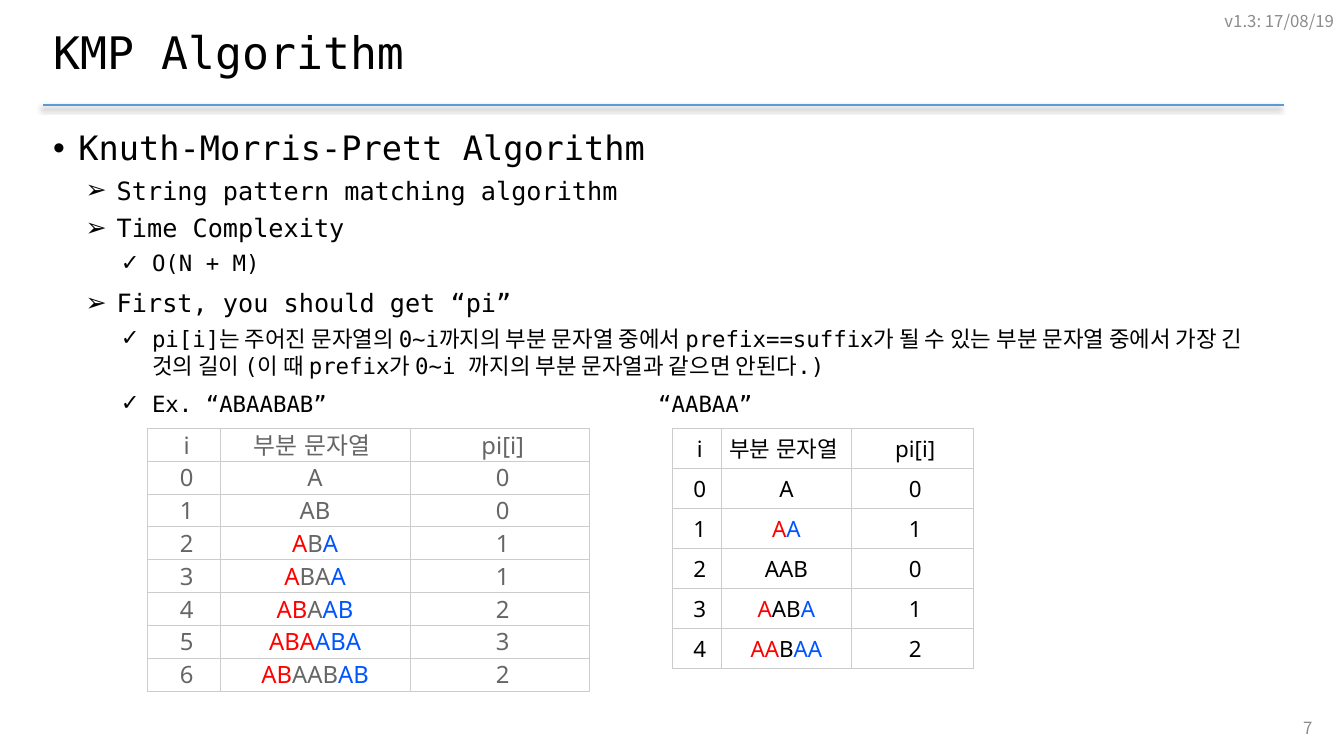
import pptx
import pptx.dml.color
import pptx.enum.shapes
import pptx.enum.text
import pptx.oxml.ns
import pptx.util
from lxml import etree

COLORS = {"ink": "000000", "rule": "5B9BD5", "muted": "8C8C8C", "gray": "666666",
          "border": "CCCCCC", "cell": "FFFFFF", "prefix": "FF0000", "suffix": "0055FF"}
MONO, SANS, KOREAN = "DejaVu Sans Mono", "Noto Sans", "Noto Sans CJK KR"
NBSP = " "
ALIGN = pptx.enum.text.PP_ALIGN
MIDDLE = pptx.enum.text.MSO_ANCHOR.MIDDLE

# bullet, left indent, hanging indent, text size, line spacing, space before, space after
LEVELS = [("•", 0.25, 0.25, 24, 0.9, 10, 0),
          ("➢", 0.63, 0.31, 18, 1.0, 5, 0),
          ("✓", 0.98, 0.31, 16, 1.0, 5, 3)]
OUTLINE = [
    (0, "Knuth-Morris-Prett Algorithm"),
    (1, "String pattern matching algorithm"),
    (1, "Time Complexity"),
    (2, "O(N + M)"),
    (1, "First, you should get “pi”"),
    (2, "pi[i]는 주어진 문자열의 0~i까지의 부분 문자열 중에서 prefix==suffix가 될 수 있는 "
        "부분 문자열 중에서 가장 긴 것의 길이 (이 때 prefix가 0~i 까지의 부분 문자열과 같으면 안된다.)"),
    (2, "Ex. “ABAABAB”\t\t\t\t“AABAA”"),
]


def rgb(name):
    return pptx.dml.color.RGBColor.from_string(COLORS[name])


def add_xml(parent, tag, **attributes):
    return etree.SubElement(parent, pptx.oxml.ns.qn(tag), attributes)


def border_length(text):
    """Length of the longest proper prefix of text that is also its suffix."""
    return max(k for k in range(len(text)) if text.endswith(text[:k]))


def colored_parts(text):
    """Split text into its matching prefix, its middle and its matching suffix."""
    k = border_length(text)
    end = len(text) - k
    parts = [(text[:k], "prefix"), (text[k:end], None), (text[end:], "suffix")]
    return [part for part in parts if part[0]]


class SlideBuilder:
    """Places elements on a grid of 160 columns by 90 rows."""

    def __init__(self, presentation):
        self.column = presentation.slide_width / 160
        self.row = presentation.slide_height / 90
        self.slide = presentation.slides.add_slide(presentation.slide_layouts[6])

    def x(self, columns):
        return round(columns * self.column)

    def y(self, rows):
        return round(rows * self.row)

    def style(self, paragraph, size, font, color):
        paragraph.font.size = pptx.util.Pt(size)
        paragraph.font.name = font
        paragraph.font.color.rgb = rgb(color)
        if font != MONO:
            for run in paragraph.runs:
                add_xml(run.font._element, "a:ea", typeface=font)

    def frame(self, left, top, width, height):
        box = self.slide.shapes.add_textbox(self.x(left), self.y(top),
                                            self.x(width), self.y(height))
        box.text_frame.word_wrap = True
        return box.text_frame

    def label(self, text, area, size, font, color, align):
        frame = self.frame(*area)
        frame.vertical_anchor = MIDDLE
        paragraph = frame.paragraphs[0]
        paragraph.text = text
        paragraph.alignment = align
        self.style(paragraph, size, font, color)
        return paragraph

    def rule(self, left, right, top):
        line = self.slide.shapes.add_connector(
            pptx.enum.shapes.MSO_CONNECTOR.STRAIGHT,
            self.x(left), self.y(top), self.x(right), self.y(top))
        line.line.color.rgb = rgb("rule")
        line.line.width = pptx.util.Pt(1.5)
        effects = add_xml(line._element.spPr, "a:effectLst")
        shadow = add_xml(effects, "a:outerShdw", blurRad=str(pptx.util.Pt(4)),
                         dist=str(pptx.util.Pt(3)), dir=str(135 * 60000))
        tone = add_xml(shadow, "a:srgbClr", val=COLORS["ink"])
        add_xml(tone, "a:alpha", val="40000")

    def outline(self, items, area):
        frame = self.frame(*area)
        for index, (level, text) in enumerate(items):
            bullet, indent, hang, size, spacing, before, after = LEVELS[level]
            paragraph = frame.add_paragraph() if index else frame.paragraphs[0]
            paragraph.text = text
            paragraph.level = level
            paragraph.line_spacing = spacing
            paragraph.space_before = pptx.util.Pt(before if index else 0)
            paragraph.space_after = pptx.util.Pt(after)
            properties = paragraph._p.get_or_add_pPr()
            properties.set("marL", str(pptx.util.Inches(indent)))
            properties.set("indent", str(-pptx.util.Inches(hang)))
            add_xml(properties, "a:buFont", typeface="Arial")
            add_xml(properties, "a:buChar", char=bullet)
            if "\t" in text:
                stops = add_xml(properties, "a:tabLst")
                for inch in range(1, 7):
                    add_xml(stops, "a:tab", pos=str(pptx.util.Inches(inch)), algn="l")
            self.style(paragraph, size, MONO, "ink")

    def cell(self, cell, parts, size, color):
        cell.margin_left = cell.margin_right = cell.margin_top = cell.margin_bottom = 0
        cell.vertical_anchor = MIDDLE
        paragraph = cell.text_frame.paragraphs[0]
        paragraph.alignment = ALIGN.CENTER
        for text, tint in parts:
            run = paragraph.add_run()
            run.text = text
            if tint:
                run.font.color.rgb = rgb(tint)
        self.style(paragraph, size, SANS, color)
        properties = cell._tc.get_or_add_tcPr()
        for side in ("a:lnL", "a:lnR", "a:lnT", "a:lnB"):
            line = add_xml(properties, side, w=str(pptx.util.Pt(0.75)))
            add_xml(add_xml(line, "a:solidFill"), "a:srgbClr", val=COLORS["border"])
        cell.fill.solid()
        cell.fill.fore_color.rgb = rgb("cell")

    def pi_table(self, pattern, left, top, widths, row_height, size, color):
        """Table of the pi value for every prefix of the pattern."""
        rows = [[[(NBSP + "i", None)], [("부분 문자열" + NBSP, None)], [(NBSP + "pi[i]", None)]]]
        for i in range(len(pattern)):
            prefix = pattern[:i + 1]
            rows.append([[(f"{NBSP}{i}", None)], colored_parts(prefix),
                         [(f"{NBSP}{border_length(prefix)}", None)]])
        table = self.slide.shapes.add_table(
            len(rows), len(widths), self.x(left), self.y(top),
            self.x(sum(widths)), self.y(row_height * len(rows))).table
        for column, width in zip(table.columns, widths):
            column.width = self.x(width)
        for r, row in enumerate(rows):
            table.rows[r].height = self.y(row_height)
            for c, parts in enumerate(row):
                self.cell(table.cell(r, c), parts, size, color)


def main():
    presentation = pptx.Presentation()
    presentation.slide_width = pptx.util.Inches(13.33)
    presentation.slide_height = pptx.util.Inches(7.5)
    page = SlideBuilder(presentation)
    page.rule(5.16, 152.88, 12.5)
    title = page.label("KMP Algorithm", (5.16, 2.16, 147.72, 8.88), 32, MONO, "ink", ALIGN.LEFT)
    title.line_spacing = 0.9
    page.outline(OUTLINE, (5.16, 15.1, 147.72, 71.4))
    page.label("v1.3: 17/08/19", (106, 0.1, 54, 4.8), 12, KOREAN, "muted", ALIGN.RIGHT)
    page.pi_table("ABAABAB", 17.52, 51, (8.68, 22.64, 21.32), 3.91, 17, "gray")
    page.pi_table("AABAA", 80.04, 51, (5.84, 15.48, 14.52), 4.77, 16, "ink")
    page.label("7", (121.44, 84.24, 36, 4.8), 12, KOREAN, "muted", ALIGN.RIGHT)
    presentation.save("out.pptx")


if __name__ == "__main__":
    main()
